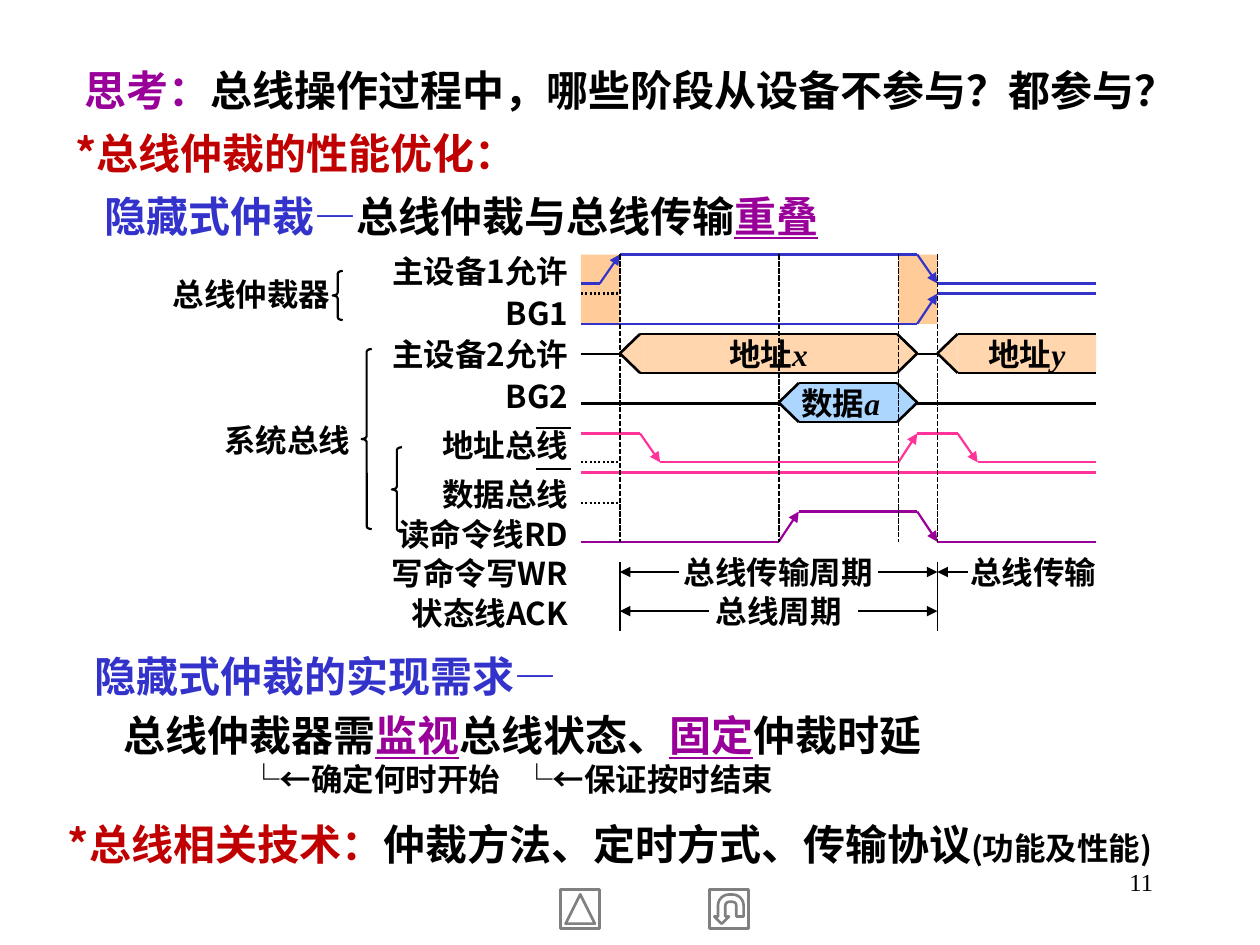
from lxml.etree import SubElement
from pptx import Presentation
from pptx.dml.color import RGBColor
from pptx.enum.dml import MSO_LINE
from pptx.enum.shapes import MSO_CONNECTOR, MSO_SHAPE
from pptx.enum.text import MSO_ANCHOR, PP_ALIGN
from pptx.oxml.ns import qn
from pptx.util import Inches, Pt

SANS, SERIF = "Noto Sans CJK SC", "Times New Roman"
BLACK, BLUE, PURPLE, PINK = "000000", "3333CC", "990099", "FF3399"
RED, PEACH, SKY, GRAY = "C00000", "FFCC99", "99CCFF", "808080"
LEFT, CENTER, RIGHT = PP_ALIGN.LEFT, PP_ALIGN.CENTER, PP_ALIGN.RIGHT

# Time marks of the diagram; slopes take STEP
START, T1, T2, T3, T4, END = 4.61, 4.92, 6.18, 7.13, 7.44, 8.7
STEP, BAR = 0.16, 0.31
SMALL = (0.02, 0.01, 0.02, 0.01)
WIDE = (0.1, 0.05, 0.1, 0.05)


def color(code):
    return RGBColor.from_string(code)


def run(text, ink=BLACK, size=24, bold=True, under=False, font=SANS, ital=False):
    return dict(text=text, ink=ink, size=size, bold=bold, under=under,
                font=font, ital=ital)


def small(text, **look):
    return run(text, size=18, **look)


def add_run(para, text, ink, size, bold, under, font, ital):
    item = para.add_run()
    item.text = text
    face = item.font
    face.name, face.size, face.bold, face.italic = font, Pt(size), bold, ital
    if under:
        face.underline = True
    face.color.rgb = color(ink)
    SubElement(item._r.get_or_add_rPr(), qn("a:ea"), typeface=font)


def write(frame, paras, align=LEFT, inset=SMALL, anchor=MSO_ANCHOR.TOP):
    """Each paragraph is (runs, line spacing, left indent, tab stops)."""
    frame.word_wrap = True
    frame.vertical_anchor = anchor
    (frame.margin_left, frame.margin_top,
     frame.margin_right, frame.margin_bottom) = map(Inches, inset)
    for i, (runs, gap, indent, tabs) in enumerate(paras):
        para = frame.add_paragraph() if i else frame.paragraphs[0]
        para.alignment, para.line_spacing = align, gap
        props = para._p.get_or_add_pPr()
        if indent:
            props.set("marL", str(Inches(indent)))
            props.set("indent", "0")
        if tabs:
            stops = SubElement(props, qn("a:tabLst"))
            for stop in tabs:
                SubElement(stops, qn("a:tab"), pos=str(Inches(stop)), algn="l")
        for look in runs:
            add_run(para, **look)


def para(*runs, gap=1.0, indent=0, tabs=()):
    return runs, gap, indent, tabs


def label(slide, box, *paras, **style):
    frame = slide.shapes.add_textbox(*map(Inches, box)).text_frame
    write(frame, paras, **style)


def shape(slide, kind, box, fill=None, alpha=None, edge=None, width=1.5, turn=0):
    item = slide.shapes.add_shape(kind, *map(Inches, box))
    item.shadow.inherit = False
    item.rotation = turn
    if fill:
        item.fill.solid()
        item.fill.fore_color.rgb = color(fill)
        if alpha:
            tone = item.fill._xPr.find(qn("a:solidFill"))[0]
            SubElement(tone, qn("a:alpha"), val=str(alpha * 1000))
    else:
        item.fill.background()
    if edge:
        item.line.color.rgb = color(edge)
        item.line.width = Pt(width)
    else:
        item.line.fill.background()
    return item


def line(slide, a, b, ink=BLACK, width=1.0, dash=None, tip=False):
    item = slide.shapes.add_connector(MSO_CONNECTOR.STRAIGHT, *map(Inches, a + b))
    item.line.color.rgb = color(ink)
    item.line.width = Pt(width)
    if dash:
        item.line.dash_style = dash
    if tip:
        SubElement(item.line._get_or_add_ln(), qn("a:tailEnd"), type="triangle")
    SubElement(item._element.spPr, qn("a:effectLst"))


def trace(slide, points, ink, width=1.25, tips=True):
    """Draw a signal; its slopes end in arrowheads."""
    for a, b in zip(points, points[1:]):
        line(slide, a, b, ink, width, tip=tips and a[1] != b[1])


def cell(slide, left, right, top, fill, runs, align=CENTER, shut=True):
    """Draw a bus value with a pointed left end and, if shut, right end."""
    mid, low, inner = top + BAR / 2, top + BAR, left + STEP
    edge = right - STEP if shut else right
    body = shape(slide, MSO_SHAPE.RECTANGLE, (inner, top, edge - inner, BAR), fill, 80)
    ends = [(inner, 90)] + ([(edge, 270)] if shut else [])
    for x, turn in ends:
        hub = x - STEP / 2 if turn == 90 else x + STEP / 2
        shape(slide, MSO_SHAPE.FLOWCHART_MERGE,
              (hub - BAR / 2, mid - STEP / 2, BAR, STEP), fill, 80, turn=turn)
    path = [(edge, top), (inner, top), (left, mid), (inner, low), (edge, low)]
    if shut:
        path += [(right, mid), (edge, top)]
    trace(slide, path, BLACK, 1.5, tips=False)
    write(body.text_frame, [para(*runs)], align, anchor=MSO_ANCHOR.MIDDLE)


def add_waves(slide):
    # Arbitration windows
    for left in (START, T3):
        shape(slide, MSO_SHAPE.RECTANGLE, (left, 2.02, BAR, 0.55), PEACH)

    # Address and data buses
    def value(word, name):
        return small(word), small(name, font=SERIF, ital=True)

    fall = T4 - STEP
    for y, spans in ((2.81, ((START, T1), (fall, T4))),
                     (3.2, ((START, T2), (fall, END)))):
        for a, b in spans:
            line(slide, (a, y), (b, y), width=1.5)
    cell(slide, T1, fall, 2.65, PEACH, value("地址", "x"))
    cell(slide, T4, END, 2.65, PEACH, value("地址", "y"), shut=False)
    cell(slide, T2, fall, 3.04, SKY, value("数据", "a"), LEFT)

    # Grant, command and status signals
    rise = T1 - STEP
    trace(slide, [(START, 2.25), (rise, 2.25), (T1, 2.02), (fall, 2.02),
                  (T4, 2.25), (END, 2.25)], BLUE)
    trace(slide, [(START, 2.57), (fall, 2.57), (T4, 2.33), (END, 2.33)], BLUE)
    trace(slide, [(START, 3.44), (T1 + STEP, 3.44), (T1 + 2 * STEP, 3.67),
                  (T3, 3.67), (fall, 3.44), (T4 + STEP, 3.44),
                  (T4 + 2 * STEP, 3.67), (END, 3.67)], PINK)
    trace(slide, [(START, 3.75), (END, 3.75)], PINK)
    trace(slide, [(START, 4.3), (T2, 4.3), (T2 + STEP, 4.06), (fall, 4.06),
                  (T4, 4.3), (END, 4.3)], PURPLE)
    for y in (2.33, 3.67, 3.99):
        line(slide, (START, y), (T1, y), width=1.25, dash=MSO_LINE.ROUND_DOT)
    for x in (T1, T2, T3, T4):
        line(slide, (x, 2.02), (x, 4.3), dash=MSO_LINE.SQUARE_DOT)


def add_spans(slide):
    # Cycle lengths below the waves
    for x in (T1, T4):
        line(slide, (x, 4.46), (x, 5.01))
    for a, b, y in ((5.39, T1, 4.54), (6.97, T4, 4.54), (7.68, T4, 4.54),
                    (5.63, T1, 4.85), (6.81, T4, 4.85)):
        line(slide, (a, y), (b, y), tip=True)
    for text, x, y, width, align in (("总线传输周期", 5.39, 4.38, 1.57, CENTER),
                                     ("总线周期", 5.63, 4.69, 1.1, CENTER),
                                     ("总线传输", 7.68, 4.38, 1.1, LEFT)):
        label(slide, (x, y, width, BAR), para(small(text)), align=align,
              anchor=MSO_ANCHOR.MIDDLE)


def add_names(slide):
    # Signal names, with bars over the active-low ones
    names = (("主设备1允许BG1", 1.1), ("主设备2允许BG2", 1.1), ("地址总线", 1.3),
             ("数据总线", 1.3), ("读命令线RD", 1.05), ("写命令写WR", 1.05),
             ("状态线ACK", 1.05))
    label(slide, (2.72, 1.94, 1.81, 2.36),
          *(para(small(name), gap=gap) for name, gap in names),
          align=RIGHT, inset=(0.02, 0.03, 0.02, 0.01))
    for y in (3.4, 3.72):
        line(slide, (4.25, y), (4.53, y), width=1.25)

    # Braces and the groups they mark
    for x, y, tall in ((3.11, 3.55, 0.67), (2.87, 2.77, 1.43), (2.64, 2.15, 0.39)):
        brace = shape(slide, MSO_SHAPE.LEFT_BRACE, (x, y, 0.08, tall),
                      edge=BLACK, width=1.25)
        brace.adjustments[0] = 0.28
    label(slide, (1.69, 3.33, 1.18, 0.34), para(small("系统总线")), align=CENTER)
    label(slide, (1.34, 2.16, 1.3, 0.35), para(small("总线仲裁器"), gap=1.05),
          align=RIGHT)


def add_prose(slide):
    label(slide, (0.2, 0.36, 9.61, 0.54),
          para(run("思考：", PURPLE),
               run("总线操作过程中，哪些阶段从设备不参与？都参与？"),
               gap=1.25, indent=0.37), inset=WIDE)
    label(slide, (0.27, 0.86, 9.61, 1.11),
          para(run("*总线仲裁的性能优化：", RED), gap=1.25, indent=0.23),
          para(run("隐藏式仲裁—", BLUE), run("总线仲裁与总线传输"),
               run("重叠", PURPLE, under=True), gap=1.25, indent=0.46), inset=WIDE)
    label(slide, (0.2, 5.01, 4.96, 0.61),
          para(run("隐藏式仲裁的实现需求—", BLUE), gap=1.25, indent=0.45), inset=WIDE)
    label(slide, (0.2, 5.48, 9.61, 0.91),
          para(run("总线仲裁器需"), run("监视", PURPLE, under=True),
               run("总线状态、"), run("固定", PURPLE, under=True),
               run("仲裁时延"), gap=1.25, indent=0.68),
          para(small("\t└", bold=False), small("←确定何时开始"),
               small("\t└", bold=False), small("←保证按时结束"),
               tabs=(1.67, 3.84)), inset=WIDE)
    label(slide, (0.21, 6.35, 9.61, 0.61),
          para(run("*总线相关技术：", RED), run("仲裁方法、定时方式、传输协议"),
               small("(功能及性能)"), gap=1.25, indent=0.23), inset=WIDE)


def add_foot(slide):
    # Slide number and navigation buttons
    label(slide, (7.17, 6.83, 2.08, 0.5),
          para(run("11", size=14, bold=False, font=SERIF)), align=RIGHT, inset=WIDE)
    for kind, x, turn in ((MSO_SHAPE.ACTION_BUTTON_BACK_OR_PREVIOUS, 4.45, 90),
                          (MSO_SHAPE.ACTION_BUTTON_RETURN, 5.63, 180)):
        shape(slide, kind, (x, 7.06, BAR, BAR), edge=GRAY, turn=turn)


def main():
    deck = Presentation()
    deck.slide_width, deck.slide_height = Inches(10), Inches(7.5)
    slide = deck.slides.add_slide(deck.slide_layouts[6])
    add_prose(slide)
    add_waves(slide)
    add_spans(slide)
    add_names(slide)
    add_foot(slide)
    deck.save("out.pptx")


if __name__ == "__main__":
    main()
